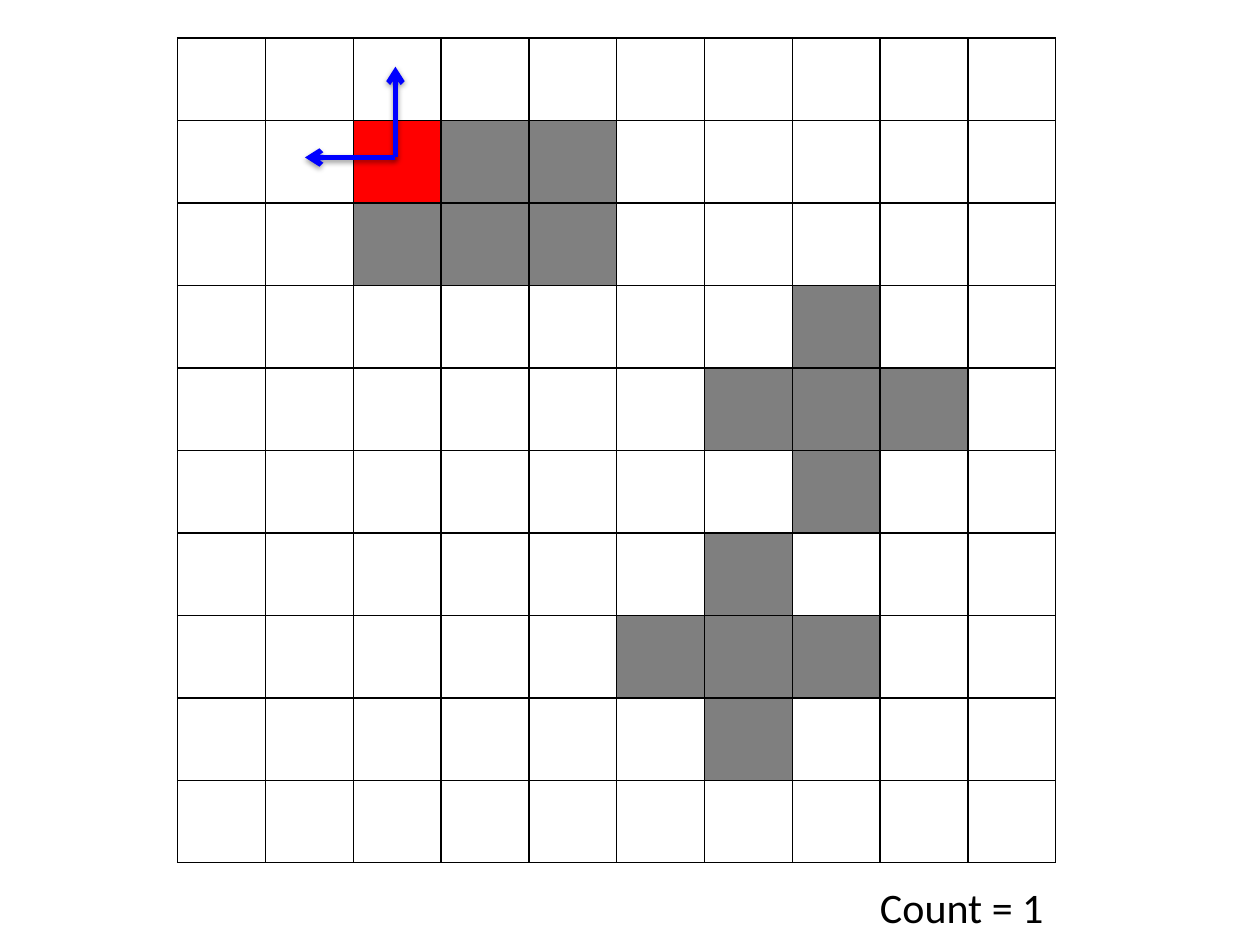
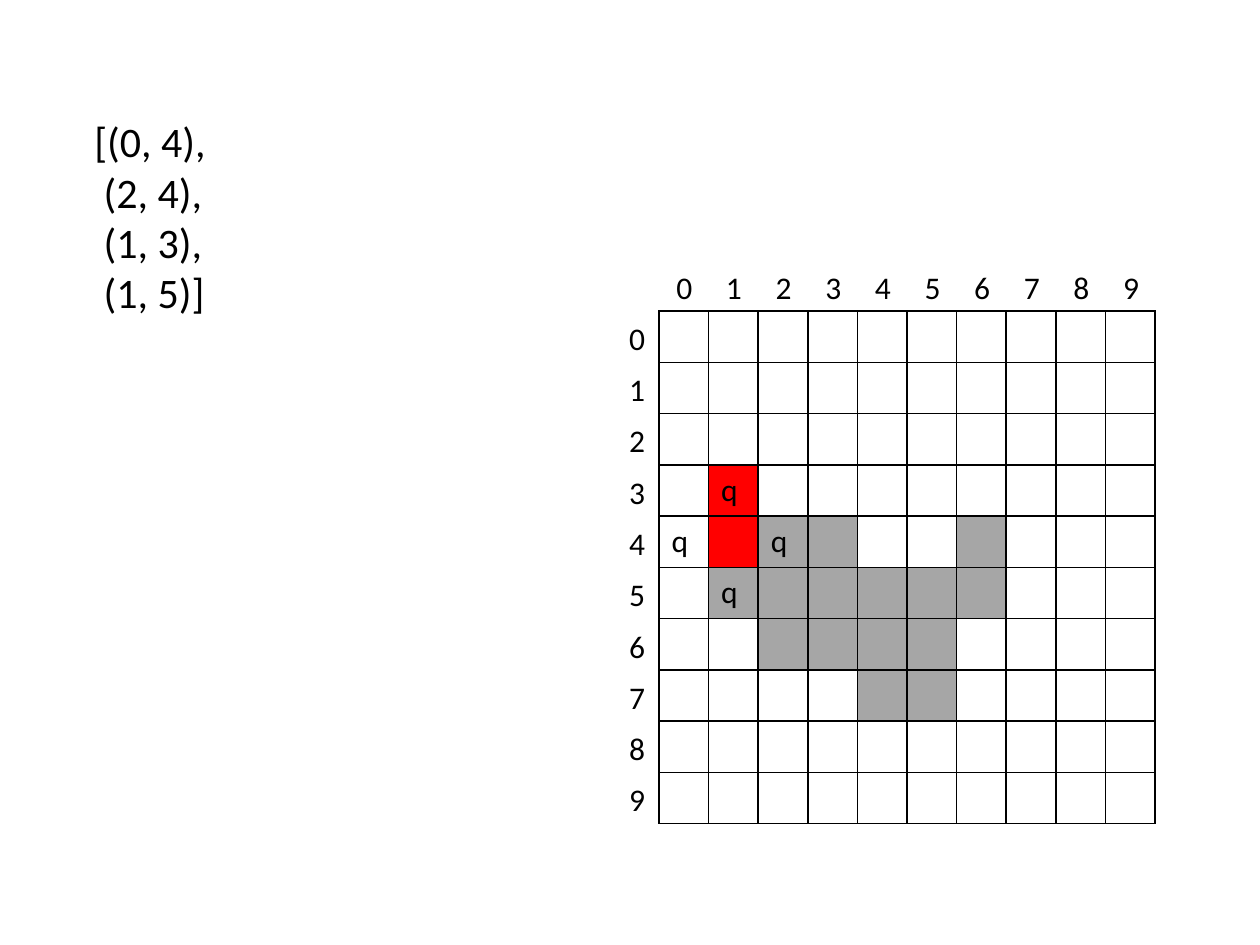
from dataclasses import dataclass

from lxml.etree import SubElement
from pptx import Presentation
from pptx.dml.color import RGBColor
from pptx.enum.shapes import MSO_CONNECTOR
from pptx.enum.text import PP_ALIGN
from pptx.oxml import parse_xml
from pptx.oxml.ns import nsdecls, qn
from pptx.util import Inches, Pt

BLACK = RGBColor(0x00, 0x00, 0x00)
WHITE = RGBColor(0xFF, 0xFF, 0xFF)
RED = RGBColor(0xFF, 0x00, 0x00)
BLUE = RGBColor(0x00, 0x00, 0xFF)
GRAY = RGBColor(0x80, 0x80, 0x80)
MID_GRAY = RGBColor(0x7F, 0x7F, 0x7F)
LIGHT_GRAY = RGBColor(0xA6, 0xA6, 0xA6)
FILLS = {".": WHITE, "R": RED, "G": GRAY, "M": MID_GRAY, "L": LIGHT_GRAY}

FONT = "Calibri"
LABEL_SIZE = Pt(18)
CAPTION_SIZE = Pt(24)
SLIDE_WIDTH = Inches(10)
SLIDE_HEIGHT = Inches(7.5)
CELLS = 10

BLOB_MAP = """
..........
..RGG.....
..GGG.....
.......M..
......MMM.
.......M..
......M...
.....MMM..
......M...
..........
""".split()

QUEUE_MAP = """
..........
..........
..........
.R........
.RLL..L...
.LLLLLL...
..LLLL....
....LL....
..........
..........
""".split()

QUEUE = [(0, 4), (2, 4), (1, 3), (1, 5)]
QUEUE_LINES = ["[(0, 4),", " (2, 4),", " (1, 3),", " (1, 5)]"]


@dataclass
class Grid:
    left: int
    top: int
    width: int
    height: int

    def x(self, column):
        return round(self.left + column * self.width / CELLS)

    def y(self, row):
        return round(self.top + row * self.height / CELLS)

    def box(self, column, row, columns, rows):
        return (self.x(column), self.y(row),
                round(columns * self.width / CELLS), round(rows * self.height / CELLS))


def style_paragraph(paragraph, size, alignment=PP_ALIGN.LEFT):
    paragraph.alignment = alignment
    paragraph.font.name = FONT
    paragraph.font.size = size
    paragraph.font.color.rgb = BLACK


def add_text(slide, box, lines, size, alignment=PP_ALIGN.LEFT):
    frame = slide.shapes.add_textbox(*box).text_frame
    frame.word_wrap = True
    frame.text = "\n".join(lines)
    for paragraph in frame.paragraphs:
        style_paragraph(paragraph, size, alignment)


def add_borders(cell):
    properties = cell._tc.get_or_add_tcPr()
    for side in ("a:lnL", "a:lnR", "a:lnT", "a:lnB"):
        line = SubElement(properties, qn(side), w=str(Pt(1)))
        fill = SubElement(line, qn("a:solidFill"))
        SubElement(fill, qn("a:srgbClr"), val=str(BLACK))


def add_cell_grid(slide, grid, fill_map):
    table = slide.shapes.add_table(
        CELLS, CELLS, grid.left, grid.top, grid.width, grid.height).table
    table.first_row = False
    table.horz_banding = False
    for row, codes in enumerate(fill_map):
        for column, code in enumerate(codes):
            cell = table.cell(row, column)
            add_borders(cell)
            cell.fill.solid()
            cell.fill.fore_color.rgb = FILLS[code]
            style_paragraph(cell.text_frame.paragraphs[0], LABEL_SIZE)
    return table


def add_arrow(slide, grid, start, end):
    connector = slide.shapes.add_connector(
        MSO_CONNECTOR.STRAIGHT,
        grid.x(start[0]), grid.y(start[1]), grid.x(end[0]), grid.y(end[1]))
    connector.line.color.rgb = BLUE
    connector.line.width = Pt(3)
    SubElement(connector.line._get_or_add_ln(), qn("a:tailEnd"), type="arrow")
    connector._element.spPr.append(parse_xml(
        f'<a:effectLst {nsdecls("a")}>'
        f'<a:outerShdw blurRad="{Pt(3.1)}" dist="{Pt(1.6)}" dir="5400000" rotWithShape="0">'
        f'<a:srgbClr val="{BLACK}"><a:alpha val="38000"/></a:srgbClr>'
        '</a:outerShdw></a:effectLst>'))


def add_axis_labels(slide, grid):
    for index in range(CELLS):
        label = [str(index)]
        add_text(slide, grid.box(index + 0.1, -0.96, 0.8, 1), label, LABEL_SIZE)
        add_text(slide, grid.box(-1.15, index + 0.03, 1.12, 1), label, LABEL_SIZE,
                 PP_ALIGN.RIGHT)


def build_count_slide(slide):
    grid = Grid(Inches(1.41), Inches(0.3), Inches(6.97), Inches(6.55))
    add_cell_grid(slide, grid, BLOB_MAP)
    add_text(slide, grid.box(7, 10.15, 3, 0.77), ["Count = 1"], CAPTION_SIZE,
             PP_ALIGN.RIGHT)
    seed = (2.48, 1.45)
    for neighbor in ((2.48, 0.35), (1.45, 1.45)):
        add_arrow(slide, grid, seed, neighbor)


def build_queue_slide(slide):
    grid = Grid(Inches(5.23), Inches(2.47), Inches(3.94), Inches(4.07))
    table = add_cell_grid(slide, grid, QUEUE_MAP)
    for column, row in QUEUE:
        table.cell(row, column).text_frame.paragraphs[0].add_run().text = "q"
    add_axis_labels(slide, grid)
    page = Grid(0, 0, SLIDE_WIDTH, SLIDE_HEIGHT)
    add_text(slide, page.box(0.65, 1.16, 1.23, 2.29), QUEUE_LINES, CAPTION_SIZE)


def main():
    presentation = Presentation()
    presentation.slide_width = SLIDE_WIDTH
    presentation.slide_height = SLIDE_HEIGHT
    blank_layout = presentation.slide_layouts[6]
    for build in (build_count_slide, build_queue_slide):
        build(presentation.slides.add_slide(blank_layout))
    presentation.save("out.pptx")


if __name__ == "__main__":
    main()
